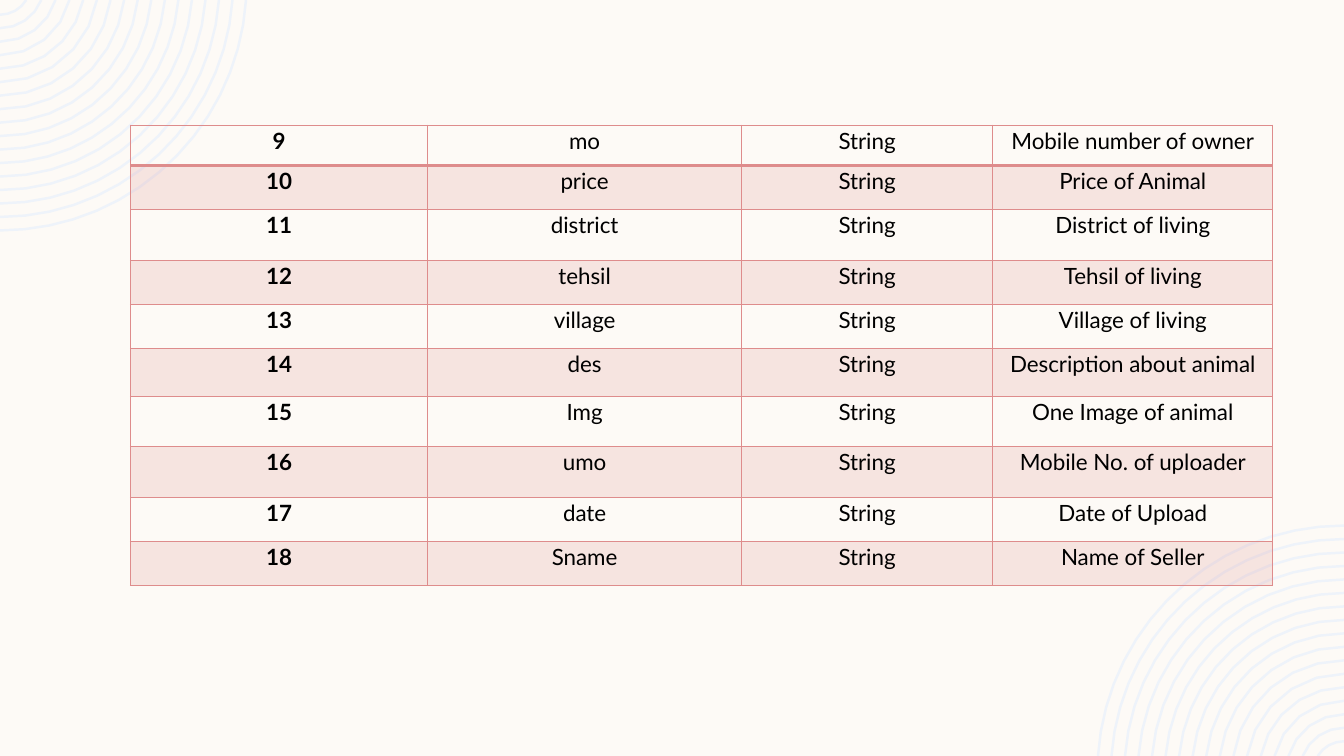
import math

import lxml.etree
import pptx
import pptx.dml.color
import pptx.enum.text
import pptx.oxml.ns
import pptx.util

Pt = pptx.util.Pt

# Field number, name, type, meaning, row height
FIELDS = [
    ("9", "mo", "String", "Mobile number of owner", 28.9),
    ("10", "price", "String", "Price of Animal", 31.4),
    ("11", "district", "String", "District of living", 36.5),
    ("12", "tehsil", "String", "Tehsil of living", 31.4),
    ("13", "village", "String", "Village of living", 31.4),
    ("14", "des", "String", "Description about animal", 34.2),
    ("15", "Img", "String", "One Image of animal", 35.9),
    ("16", "umo", "String", "Mobile No. of uploader", 36.4),
    ("17", "date", "String", "Date of Upload", 31.4),
    ("18", "Sname", "String", "Name of Seller", 31.4),
]
COLUMN_WIDTHS = (212.4, 224, 179.6, 200)
TABLE_LEFT, TABLE_TOP = 93.2, 89.4
SLIDE_WIDTH, SLIDE_HEIGHT = 960, 540

CREAM, PALE_BLUE, ROSE, BLACK = "FDFAF6", "EEF3FA", "DE8C8C", "000000"

RING_COUNT, RING_RADIUS, RING_STEP, RING_THICKNESS = 17, 176.1, 9.63, 1.75
RING_CENTRE_OFFSET = 11.5  # distance of the ring centre beyond the slide edge
SEGMENT_LENGTH = 18

CELL_MARGINS = {"margin_left": Pt(3.6), "margin_right": Pt(3.6),
                "margin_top": 0, "margin_bottom": 0}
PARAGRAPH_FORMAT = {"alignment": pptx.enum.text.PP_ALIGN.CENTER,
                    "line_spacing": 1.07, "space_after": Pt(8)}
FONT_FORMAT = {"name": "Lato", "size": Pt(16)}


def rgb(hex_colour):
    return pptx.dml.color.RGBColor.from_string(hex_colour)


def apply_format(target, values):
    for name, value in values.items():
        setattr(target, name, value)


def add_child(parent, tag, **attributes):
    child = lxml.etree.SubElement(parent, pptx.oxml.ns.qn(tag))
    for name, value in attributes.items():
        child.set(name, str(value))
    return child


def arc(radius):
    """Points of a top-left ring, from the top of the slide to its left side."""
    start = math.asin(RING_CENTRE_OFFSET / radius)
    sweep = math.pi / 2 - start
    steps = max(4, round(radius * sweep / SEGMENT_LENGTH))
    angles = [start + sweep * i / steps for i in range(steps + 1)]
    return [(radius * math.cos(a), radius * math.sin(a) - RING_CENTRE_OFFSET) for a in angles]


def add_rings(slide, opposite):
    """Rings in the top-left corner, or turned half round in the opposite one."""
    builder = None
    for ring in range(RING_COUNT):
        curve = arc(RING_RADIUS - ring * RING_STEP)
        if opposite:
            curve = [(SLIDE_WIDTH - x, SLIDE_HEIGHT - y) for x, y in curve]
        points = [(Pt(x), Pt(y)) for x, y in curve]
        if builder is None:
            builder = slide.shapes.build_freeform(*points[0])
        else:
            builder.move_to(*points[0])
        builder.add_line_segments(points[1:], close=False)
    rings = builder.convert_to_shape()
    rings.shadow.inherit = False
    rings.fill.background()
    rings.line.color.rgb = rgb(PALE_BLUE)
    rings.line.width = Pt(RING_THICKNESS)


def set_borders(cell, top, bottom):
    properties = cell._tc.get_or_add_tcPr()
    for side, width in (("L", 1), ("R", 1), ("T", top), ("B", bottom)):
        line = add_child(properties, f"a:ln{side}", w=int(Pt(width)))
        add_child(add_child(line, "a:solidFill"), "a:srgbClr", val=ROSE)


def fill_cell(cell, shaded):
    if not shaded:
        cell.fill.background()
        return
    cell.fill.solid()
    cell.fill.fore_color.rgb = rgb(ROSE)
    colour = cell._tc.tcPr.find(pptx.oxml.ns.qn("a:solidFill"))[0]
    add_child(colour, "a:alpha", val=20000)


def add_field_table(slide):
    heights = [field[-1] for field in FIELDS]
    table = slide.shapes.add_table(
        len(FIELDS), len(COLUMN_WIDTHS), Pt(TABLE_LEFT), Pt(TABLE_TOP),
        Pt(sum(COLUMN_WIDTHS)), Pt(sum(heights))).table
    apply_format(table, {"first_row": False, "horz_banding": False})
    for column, width in zip(table.columns, COLUMN_WIDTHS):
        column.width = Pt(width)
    for r, (*texts, height) in enumerate(FIELDS):
        table.rows[r].height = Pt(height)
        for c, text in enumerate(texts):
            cell = table.cell(r, c)
            apply_format(cell, CELL_MARGINS)
            set_borders(cell, top=2 if r == 1 else 1, bottom=2 if r == 0 else 1)
            fill_cell(cell, shaded=r % 2 == 1)
            paragraph = cell.text_frame.paragraphs[0]
            apply_format(paragraph, PARAGRAPH_FORMAT)
            run = paragraph.add_run()
            run.text = text
            apply_format(run.font, FONT_FORMAT)
            run.font.bold = c == 0
            run.font.color.rgb = rgb(BLACK)


def main():
    deck = pptx.Presentation()
    deck.slide_width, deck.slide_height = Pt(SLIDE_WIDTH), Pt(SLIDE_HEIGHT)
    slide = deck.slides.add_slide(deck.slide_layouts[6])
    slide.background.fill.solid()
    slide.background.fill.fore_color.rgb = rgb(CREAM)
    for opposite in (False, True):
        add_rings(slide, opposite)
    add_field_table(slide)
    deck.save("out.pptx")


if __name__ == "__main__":
    main()
